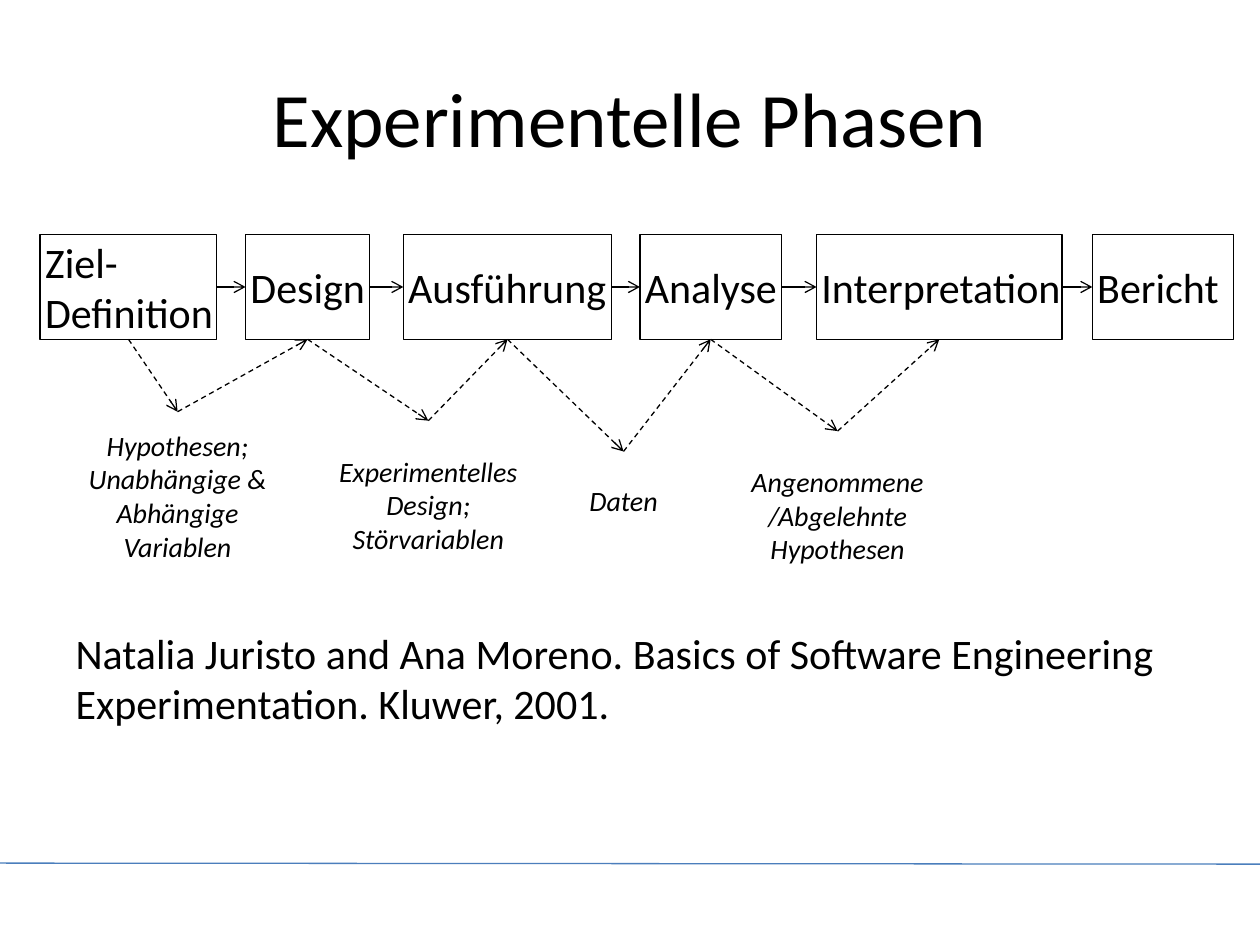
from dataclasses import dataclass
from itertools import pairwise

from lxml import etree
from pptx import Presentation
from pptx import util as u
from pptx.dml.color import RGBColor
from pptx.enum import dml, shapes, text
from pptx.oxml import ns

TOP, LEFT, BOTTOM, RIGHT = range(4)  # connection sites of a rectangle


@dataclass(frozen=True)
class Theme:
    font: str = "Calibri"
    ink: RGBColor = RGBColor(0, 0, 0)
    rule: RGBColor = RGBColor(0x4B, 0x7E, 0xBC)
    title_size: int = 44
    body_size: int = 24
    caption_size: int = 16
    line_width: float = 0.75


class SlideBuilder:
    def __init__(self, slide, theme):
        self.slide = slide
        self.theme = theme

    def set_text(self, shape, lines, size, align, italic=False, bullets_off=False):
        frame = shape.text_frame
        frame.word_wrap = True
        frame.auto_size = text.MSO_AUTO_SIZE.NONE
        frame.text = "\n".join(lines)
        for paragraph in frame.paragraphs:
            if bullets_off:
                properties = paragraph._p.get_or_add_pPr()
                properties.set("marL", "0")
                properties.set("indent", "0")
                etree.SubElement(properties, ns.qn("a:buNone"))
            paragraph.alignment = align
            paragraph.space_before = u.Pt(0)
            paragraph.font.name = self.theme.font
            paragraph.font.size = u.Pt(size)
            paragraph.font.italic = italic
            paragraph.font.color.rgb = self.theme.ink
        return frame

    def place(self, shape, left, top, width, height):
        shape.left, shape.top = u.Cm(left), u.Cm(top)
        shape.width, shape.height = u.Cm(width), u.Cm(height)

    def title(self, words, *box):
        shape = self.slide.shapes.title
        self.place(shape, *box)
        frame = self.set_text(shape, [words], self.theme.title_size,
                              text.PP_ALIGN.CENTER)
        frame.vertical_anchor = text.MSO_ANCHOR.MIDDLE

    def body(self, words, *box):
        shape = self.slide.placeholders[1]
        self.place(shape, *box)
        self.set_text(shape, [words], self.theme.body_size,
                      text.PP_ALIGN.LEFT, bullets_off=True)

    def phase(self, words, left, top, width, height):
        shape = self.slide.shapes.add_shape(
            shapes.MSO_SHAPE.RECTANGLE, *map(u.Cm, (left, top, width, height)))
        shape.shadow.inherit = False
        shape.fill.background()
        shape.line.color.rgb = self.theme.ink
        shape.line.width = u.Pt(self.theme.line_width)
        frame = self.set_text(shape, [words], self.theme.body_size,
                              text.PP_ALIGN.LEFT)
        frame.vertical_anchor = text.MSO_ANCHOR.MIDDLE
        frame.margin_left = u.Cm(0.1)
        frame.margin_top = frame.margin_right = frame.margin_bottom = 0
        return shape

    def caption(self, lines, *box):
        shape = self.slide.shapes.add_textbox(*map(u.Cm, box))
        frame = self.set_text(shape, lines, self.theme.caption_size,
                              text.PP_ALIGN.CENTER, italic=True)
        frame.vertical_anchor = text.MSO_ANCHOR.MIDDLE
        return shape

    def line(self, color, *ends):
        connector = self.slide.shapes.add_connector(
            shapes.MSO_CONNECTOR.STRAIGHT, *map(u.Cm, ends))
        connector.line.color.rgb = color
        connector.line.width = u.Pt(self.theme.line_width)
        etree.SubElement(connector._element.spPr, ns.qn("a:effectLst"))
        return connector

    def arrow(self, start, start_site, end, end_site, dashed=False):
        connector = self.line(self.theme.ink, 0, 0, 0, 0)
        connector.begin_connect(start, start_site)
        connector.end_connect(end, end_site)
        if dashed:
            connector.line.dash_style = dml.MSO_LINE.DASH
        outline = connector._element.spPr.find(ns.qn("a:ln"))
        etree.SubElement(outline, ns.qn("a:tailEnd"), type="arrow")


# Phases: words, left, width
PHASE_TOP, PHASE_HEIGHT = 4.73, 2.11
PHASES = [
    ("Ziel-Definition", 0.81, 3.56),
    ("Design", 4.95, 2.5),
    ("Ausführung", 8.13, 4.2),
    ("Analyse", 12.9, 2.85),
    ("Interpretation", 16.46, 4.95),
    ("Bericht", 22.02, 2.85),
]

# Results handed from one phase to the next: lines, left, top, width, height
RESULTS = [
    (["Hypothesen; Unabhängige & Abhängige Variablen"], 1.19, 8.3, 4.78, 3.38),
    (["Experimentelles Design;", "Störvariablen"], 6.55, 8.48, 4.17, 3.38),
    (["Daten"], 11.3, 9.1, 2.54, 1.98),
    (["Angenommene/Abgelehnte Hypothesen"], 14.88, 8.69, 4.01, 3.38),
]


def main():
    presentation = Presentation()
    presentation.slide_width, presentation.slide_height = u.Cm(25.4), u.Cm(19.05)
    slide = presentation.slides.add_slide(presentation.slide_layouts[1])
    theme = Theme()
    builder = SlideBuilder(slide, theme)

    # Footer rule, title and reference
    builder.line(theme.rule, 0, 17.4, 25.4, 17.42)
    builder.title("Experimentelle Phasen", 1.27, 0.76, 22.86, 3.18)
    builder.body("Natalia Juristo and Ana Moreno. Basics of Software Engineering "
                 "Experimentation. Kluwer, 2001.", 1.27, 12.52, 22.86, 4.5)

    # Chain of phases
    phases = [builder.phase(words, left, PHASE_TOP, width, PHASE_HEIGHT)
              for words, left, width in PHASES]
    for phase, following in pairwise(phases):
        builder.arrow(phase, RIGHT, following, LEFT)

    # Results between neighbouring phases
    for result, (phase, following) in zip(RESULTS, pairwise(phases)):
        caption = builder.caption(*result)
        builder.arrow(phase, BOTTOM, caption, TOP, dashed=True)
        builder.arrow(caption, TOP, following, BOTTOM, dashed=True)

    presentation.save("out.pptx")


if __name__ == "__main__":
    main()
